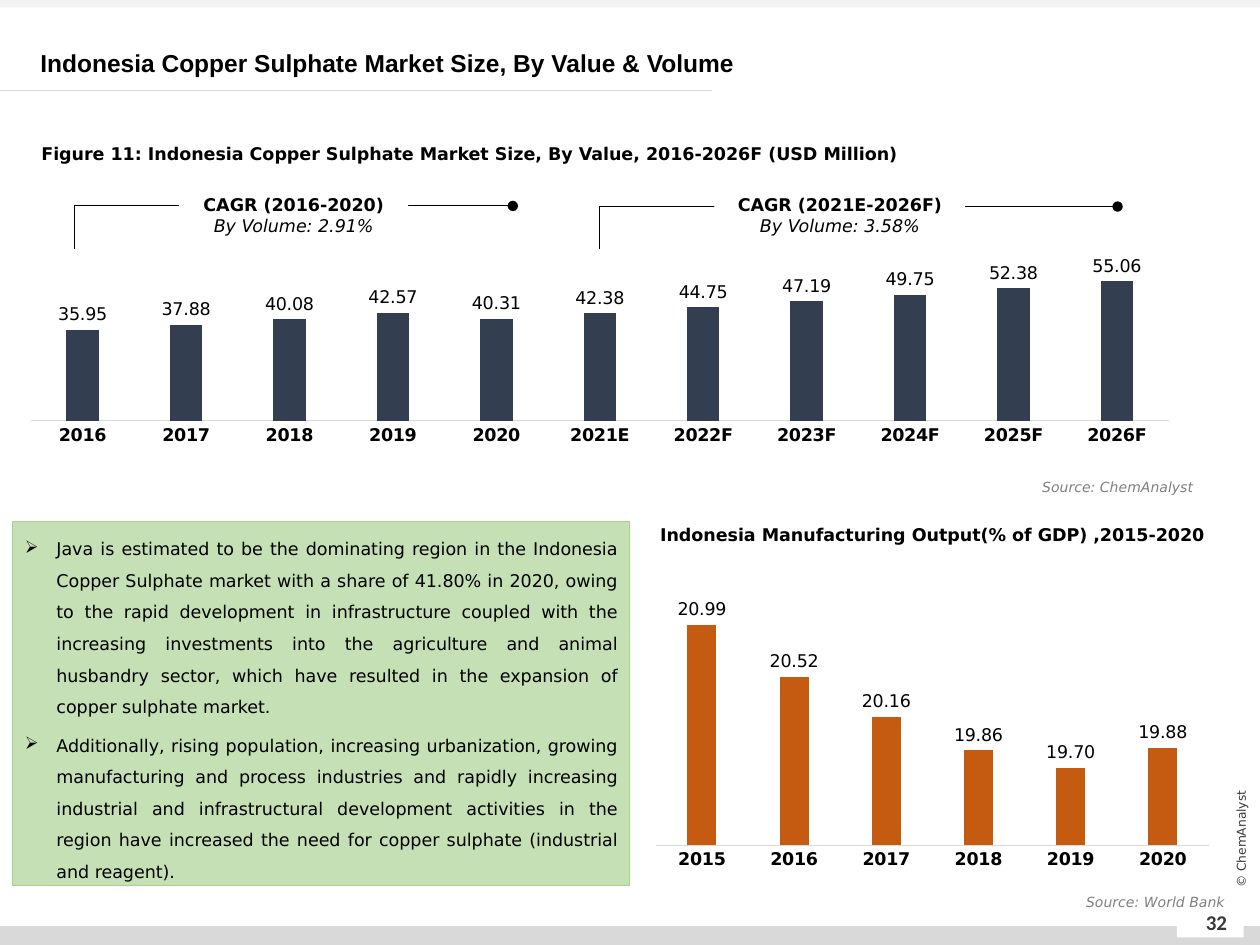
from dataclasses import dataclass

from lxml.etree import SubElement as Sub
from pptx import Presentation
from pptx.chart.data import CategoryChartData as ChartData
from pptx.dml.color import RGBColor as RGB
from pptx.enum.chart import XL_CHART_TYPE as CT, XL_LABEL_POSITION as LP, XL_TICK_MARK as TM
from pptx.enum.shapes import MSO_CONNECTOR as MC, MSO_SHAPE as MS
from pptx.enum.text import MSO_ANCHOR as VA, PP_ALIGN as PA
from pptx.oxml.ns import qn
from pptx.util import Inches, Pt


@dataclass(frozen=True)
class Theme:
    """Colours, fonts and type sizes of the slide."""
    ink: str = "000000"
    soft: str = "3B3838"
    muted: str = "808080"
    rule: str = "D9D9D9"
    band: str = "F2F2F2"
    paper: str = "FFFFFF"
    navy: str = "333F50"
    orange: str = "C55A11"
    green: str = "C5E0B4"
    green_line: str = "A9D18E"
    body_font: str = "DejaVu Sans"
    title_font: str = "Arial"
    number_font: str = "Calibri"
    title: int = 14
    number: int = 12
    body: int = 10
    source: int = 8
    credit: int = 7


@dataclass(frozen=True)
class Box:
    """An area on a grid of 100 columns by 75 rows."""
    x: float
    y: float
    w: float
    h: float

    def inner(self, x, y, w, h):
        """Return an area offset from this one's corner."""
        return Box(self.x + x, self.y + y, w, h)

    def emu(self):
        """Return left, top, width and height as lengths."""
        return [Inches(v / 10) for v in (self.x, self.y, self.w, self.h)]


T = Theme()


def style(font, size=T.body, color=T.ink, bold=False, italic=False, name=T.body_font):
    """Format a font."""
    font.name, font.size, font.bold, font.italic = name, Pt(size), bold, italic
    font.color.rgb = RGB.from_string(color)


def add_run(p, text, **fmt):
    """Add one formatted run to a paragraph."""
    r = p.add_run()
    r.text = text
    style(r.font, **fmt)


def add_text(s, box, text, align=PA.LEFT, anchor=VA.TOP, spacing=None, **fmt):
    """Add a one-paragraph text box."""
    sp = s.shapes.add_textbox(*box.emu())
    tf = sp.text_frame
    tf.word_wrap, tf.vertical_anchor = True, anchor
    p = tf.paragraphs[0]
    p.alignment, p.line_spacing = align, spacing
    add_run(p, text, **fmt)
    return sp


def add_rect(s, box, fill, line=None):
    """Add a flat rectangle."""
    sp = s.shapes.add_shape(MS.RECTANGLE, *box.emu())
    sp.shadow.inherit = False
    sp.fill.solid()
    sp.fill.fore_color.rgb = RGB.from_string(fill)
    if line:
        sp.line.color.rgb = RGB.from_string(line)
        sp.line.width = Pt(0.5)
    else:
        sp.line.fill.background()
    return sp


def add_line(s, kind, box, color):
    """Add a thin connector from the lower left to the upper right of a box."""
    x, y, w, h = box.emu()
    cx = s.shapes.add_connector(kind, x, y + h, x + w, y)
    cx.line.color.rgb = RGB.from_string(color)
    cx.line.width = Pt(0.5)
    Sub(cx._element.spPr, qn("a:effectLst"))
    return cx


def add_columns(s, box, cats, vals, color, low, high, plot_top, plot_height):
    """Add a column chart with value labels and no value axis."""
    data = ChartData(number_format="0.00")
    data.categories = cats
    data.add_series("Series 1", vals)
    chart = s.shapes.add_chart(CT.COLUMN_CLUSTERED, *box.emu(), data).chart
    chart.has_title = chart.has_legend = False
    style(chart.font)
    va, ca = chart.value_axis, chart.category_axis
    va.minimum_scale, va.maximum_scale = low, high
    va.has_major_gridlines = va.visible = False
    ca.major_tick_mark = ca.minor_tick_mark = TM.NONE
    ca.format.line.color.rgb = RGB.from_string(T.rule)
    ca.format.line.width = Pt(0.75)
    style(ca.tick_labels.font, bold=True)
    plot = chart.plots[0]
    plot.gap_width, plot.overlap, plot.vary_by_categories = 219, -27, False
    fill = plot.series[0].format.fill
    fill.solid()
    fill.fore_color.rgb = RGB.from_string(color)
    plot.has_data_labels = True
    labels = plot.data_labels
    labels.show_value, labels.position = True, LP.OUTSIDE_END
    labels.number_format, labels.number_format_is_linked = "0.00", False
    style(labels.font)
    area = chart._chartSpace.find(".//" + qn("c:plotArea"))
    for old in area.findall(qn("c:layout")):
        area.remove(old)
    layout = Sub(area, qn("c:layout"))
    area.insert(0, layout)
    manual = Sub(layout, qn("c:manualLayout"))
    settings = dict(layoutTarget="inner", xMode="edge", yMode="edge",
                    x=0, y=plot_top, w=1, h=plot_height)
    for tag, val in settings.items():
        Sub(manual, qn("c:" + tag), val=str(val))


def add_source(s, box, text):
    """Add a right-aligned source line."""
    add_text(s, box, text, PA.RIGHT, size=T.source, color=T.muted, italic=True)


def add_growth(s, box, label, period, rate):
    """Add a bracket ending in a dot, with a growth label over it."""
    cx = add_line(s, MC.ELBOW, box, T.ink)
    guides = cx._element.spPr.find(qn("a:prstGeom")).get_or_add_avLst()
    Sub(guides, qn("a:gd"), name="adj1", fmla="val 0")
    Sub(cx._element.spPr.find(qn("a:ln")), qn("a:tailEnd"), type="oval")
    tf = add_rect(s, label, T.paper).text_frame
    tf.word_wrap, tf.vertical_anchor = True, VA.MIDDLE
    for p, text, fmt in ((tf.paragraphs[0], period, {"bold": True}),
                         (tf.add_paragraph(), rate, {"italic": True})):
        p.alignment = PA.CENTER
        add_run(p, text, **fmt)


def build_frame(s, box):
    """Place the bands, page number and copyright line."""
    add_rect(s, box.inner(0, 73.5, box.w, 1.5), T.rule)
    add_rect(s, box.inner(0, 0, box.w, 0.6), T.band)
    add_rect(s, box.inner(93.4, 72.2, 5.3, 2.2), T.paper)
    add_line(s, MC.STRAIGHT, box.inner(0, 7.2, 56.5, 0), T.rule)
    add_text(s, box.inner(94.1, 71.2, 4.9, 4), "32", PA.CENTER, VA.MIDDLE,
             size=T.number, color=T.soft, bold=True, name=T.number_font)
    sp = add_text(s, box.inner(92.5, 65.8, 12, 1.6), "© ChemAnalyst", PA.CENTER, VA.MIDDLE,
                  size=T.credit, color=T.soft)
    sp.rotation = 270


def build_title(s, box):
    """Place the slide title."""
    sp = s.shapes.title
    sp.left, sp.top, sp.width, sp.height = box.emu()
    tf = sp.text_frame
    tf.vertical_anchor = VA.MIDDLE
    p = tf.paragraphs[0]
    p.alignment, p.line_spacing = PA.LEFT, Pt(17)
    add_run(p, "Indonesia Copper Sulphate Market Size, By Value & Volume",
            size=T.title, bold=True, name=T.title_font)


def build_market(s, box):
    """Place the market size chart with its heading, growth brackets and source."""
    cats = [f"{y}{'E' if y == 2021 else 'F' if y > 2021 else ''}" for y in range(2016, 2027)]
    vals = [35.95, 37.88, 40.08, 42.57, 40.31, 42.38, 44.75, 47.19, 49.75, 52.38, 55.06]
    add_columns(s, box.inner(0.1, 8, 90.4, 20.8), cats, vals, T.navy, 0, 60, 0.16, 0.58)
    add_growth(s, box.inner(45.3, 6.4, 41.1, 3.4), box.inner(54.4, 4.2, 19.9, 5.7),
               "CAGR (2021E-2026F)", "By Volume: 3.58%")
    add_growth(s, box.inner(3.6, 6.35, 34.8, 3.4), box.inner(11.9, 4.2, 18.2, 5.7),
               "CAGR (2016-2020)", "By Volume: 2.91%")
    add_text(s, box.inner(0, 0, 88.2, 3.2),
             "Figure 11: Indonesia Copper Sulphate Market Size, By Value, 2016-2026F (USD Million)",
             spacing=1.5, bold=True)
    add_source(s, box.inner(69.3, 27.5, 24.1, 2.4), "Source: ChemAnalyst")


def build_findings(s, box):
    """Place the green panel of bulleted findings."""
    findings = (
        "Java is estimated to be the dominating region in the Indonesia Copper Sulphate market "
        "with a share of 41.80% in 2020, owing to the rapid development in infrastructure coupled "
        "with the increasing investments into the agriculture and animal husbandry sector, which "
        "have resulted in the expansion of copper sulphate market.",
        "Additionally, rising population, increasing urbanization, growing manufacturing and "
        "process industries and rapidly increasing industrial and infrastructural development "
        "activities in the region have increased the need for copper sulphate (industrial and "
        "reagent).")
    tf = add_rect(s, box, T.green, T.green_line).text_frame
    tf.word_wrap, tf.vertical_anchor = True, VA.TOP
    for i, text in enumerate(findings):
        p = tf.add_paragraph() if i else tf.paragraphs[0]
        p.alignment, p.line_spacing, p.space_before = PA.JUSTIFY, 1.5, Pt(4 if i else 0)
        pPr = p._p.get_or_add_pPr()
        pPr.set("marL", str(Inches(0.25)))
        pPr.set("indent", str(-Inches(0.25)))
        Sub(pPr, qn("a:buChar"), char="➢")
        add_run(p, text)


def build_output(s, box):
    """Place the manufacturing output chart with its heading and source."""
    vals = [20.99, 20.52, 20.16, 19.86, 19.7, 19.88]
    add_columns(s, box.inner(0.6, 3.2, 44, 26.2), [str(y) for y in range(2015, 2021)], vals,
                T.orange, 19, 21.5, 0.03, 0.84)
    add_text(s, box.inner(0, 0, 50.1, 2.7),
             "Indonesia Manufacturing Output(% of GDP) ,2015-2020", bold=True)
    add_source(s, box.inner(21.2, 29.3, 25.6, 2.4), "Source: World Bank")


def main():
    """Build and save the slide."""
    prs = Presentation()
    prs.slide_width, prs.slide_height = Inches(10), Inches(7.5)
    s = prs.slides.add_slide(prs.slide_layouts[5])
    build_frame(s, Box(0, 0, 100, 75))
    build_title(s, Box(2.2, 3.4, 97.6, 3.2))
    build_market(s, Box(2.3, 10, 93.4, 29.9))
    build_findings(s, Box(1, 41.4, 49, 28.9))
    build_output(s, Box(51.4, 41.1, 46.8, 31.7))
    prs.save("out.pptx")


if __name__ == "__main__":
    main()
